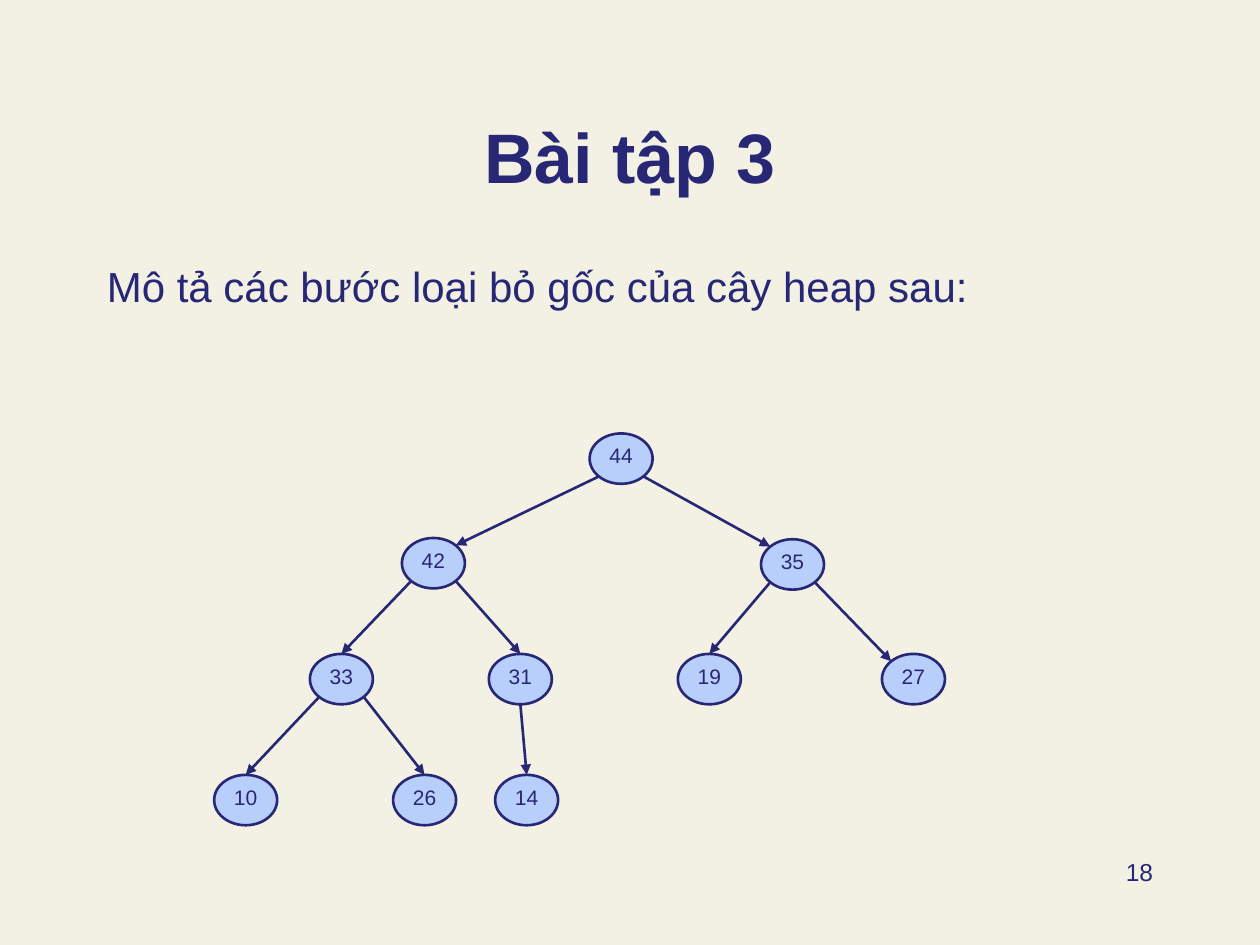
import math
import pptx
import pptx.util
import pptx.dml.color
import pptx.enum.shapes
import pptx.enum.text
import pptx.oxml.ns
import lxml.etree

NAVY = pptx.dml.color.RGBColor(0x27, 0x27, 0x76)
SKY = pptx.dml.color.RGBColor(0xB8, 0xCF, 0xFB)
CREAM = pptx.dml.color.RGBColor(0xF3, 0xF1, 0xE4)
ALIGN = pptx.enum.text.PP_ALIGN
ANCHOR = pptx.enum.text.MSO_ANCHOR


def grid(*cells):
    """Turn grid cells into lengths: the slide is 100 columns by 75 rows."""
    return [pptx.util.Inches(cell / 10) for cell in cells]


def write(shape, text, size, align, anchor, bold=False):
    frame = shape.text_frame
    frame.word_wrap = True
    frame.vertical_anchor = anchor
    line = frame.paragraphs[0]
    line.text = text
    line.alignment = align
    line.font.name = "Arial"
    line.font.size = pptx.util.Pt(size)
    line.font.bold = bold
    line.font.color.rgb = NAVY


deck = pptx.Presentation()
deck.slide_width, deck.slide_height = grid(100, 75)
slide = deck.slides.add_slide(deck.slide_layouts[6])
slide.background.fill.solid()
slide.background.fill.fore_color.rgb = CREAM

# Title, task and page number
for box, text, size, align, anchor, bold in [
    ((7.5, 5.4, 85, 10.8), "Bài tập 3", 40, ALIGN.CENTER, ANCHOR.BOTTOM, True),
    ((7.5, 20.2, 82.7, 9.1), "Mô tả các bước loại bỏ gốc của cây heap sau:",
     24, ALIGN.LEFT, ANCHOR.TOP, False),
    ((71.7, 67.5, 20.8, 5), "18", 14, ALIGN.RIGHT, ANCHOR.TOP, False),
]:
    write(slide.shapes.add_textbox(*grid(*box)), text, size, align, anchor, bold)

# Heap order: the parent of node i is node i // 2; centres in grid cells
heap = [
    ("44", 49.3, 36.4),
    ("42", 34.4, 44.7), ("35", 62.9, 44.8),
    ("33", 27.1, 53.9), ("31", 41.3, 53.9), ("19", 56.3, 53.9), ("27", 72.5, 53.9),
    ("10", 19.5, 63.5), ("26", 33.7, 63.5), ("14", 41.8, 63.5),
]
WIDE, HIGH = 5, 4
DX, DY = WIDE / 2 * math.sqrt(0.5), HIGH / 2 * math.sqrt(0.5)

nodes = []
for key, x, y in heap:
    node = slide.shapes.add_shape(
        pptx.enum.shapes.MSO_SHAPE.OVAL,
        *grid(x - WIDE / 2, y - HIGH / 2, WIDE, HIGH))
    node.shadow.inherit = False
    node.fill.solid()
    node.fill.fore_color.rgb = SKY
    node.line.color.rgb = NAVY
    node.line.width = pptx.util.Pt(1.5)
    frame = node.text_frame
    frame.margin_left = frame.margin_right = frame.margin_top = 0
    frame.margin_bottom = pptx.util.Inches(0.05)
    write(node, key, 12, ALIGN.CENTER, ANCHOR.MIDDLE)
    nodes.append(node)

for i in range(2, len(heap) + 1):
    key, x, y = heap[i - 1]
    top, px, py = heap[i // 2 - 1]
    side = 1 if i % 2 else -1
    if key == "14":
        start = (px, py + HIGH / 2)
    else:
        start = (px + side * DX, py + DY)
    corner = key in ("42", "35", "27")
    end = (x - side * DX, y - DY) if corner else (x, y - HIGH / 2)
    edge = slide.shapes.add_connector(
        pptx.enum.shapes.MSO_CONNECTOR.STRAIGHT, *grid(*start, *end))
    if not corner:
        edge.end_connect(nodes[i - 1], 0)
    edge.line.color.rgb = NAVY
    edge.line.width = pptx.util.Pt(1.5)
    tail = lxml.etree.SubElement(
        edge.line._get_or_add_ln(), pptx.oxml.ns.qn("a:tailEnd"))
    tail.set("type", "triangle")
    lxml.etree.SubElement(
        edge._element.spPr, pptx.oxml.ns.qn("a:effectLst"))

deck.save("out.pptx")
